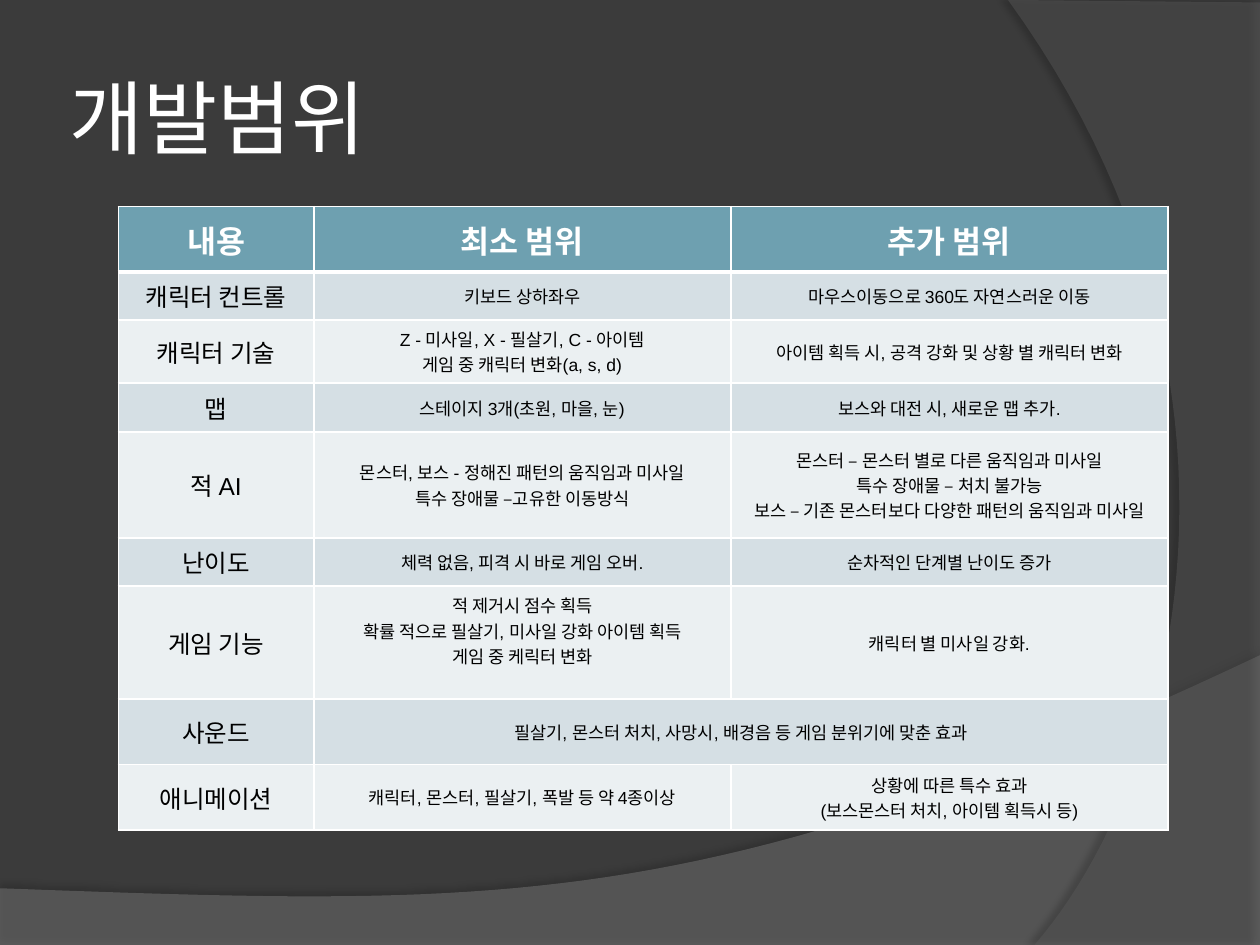
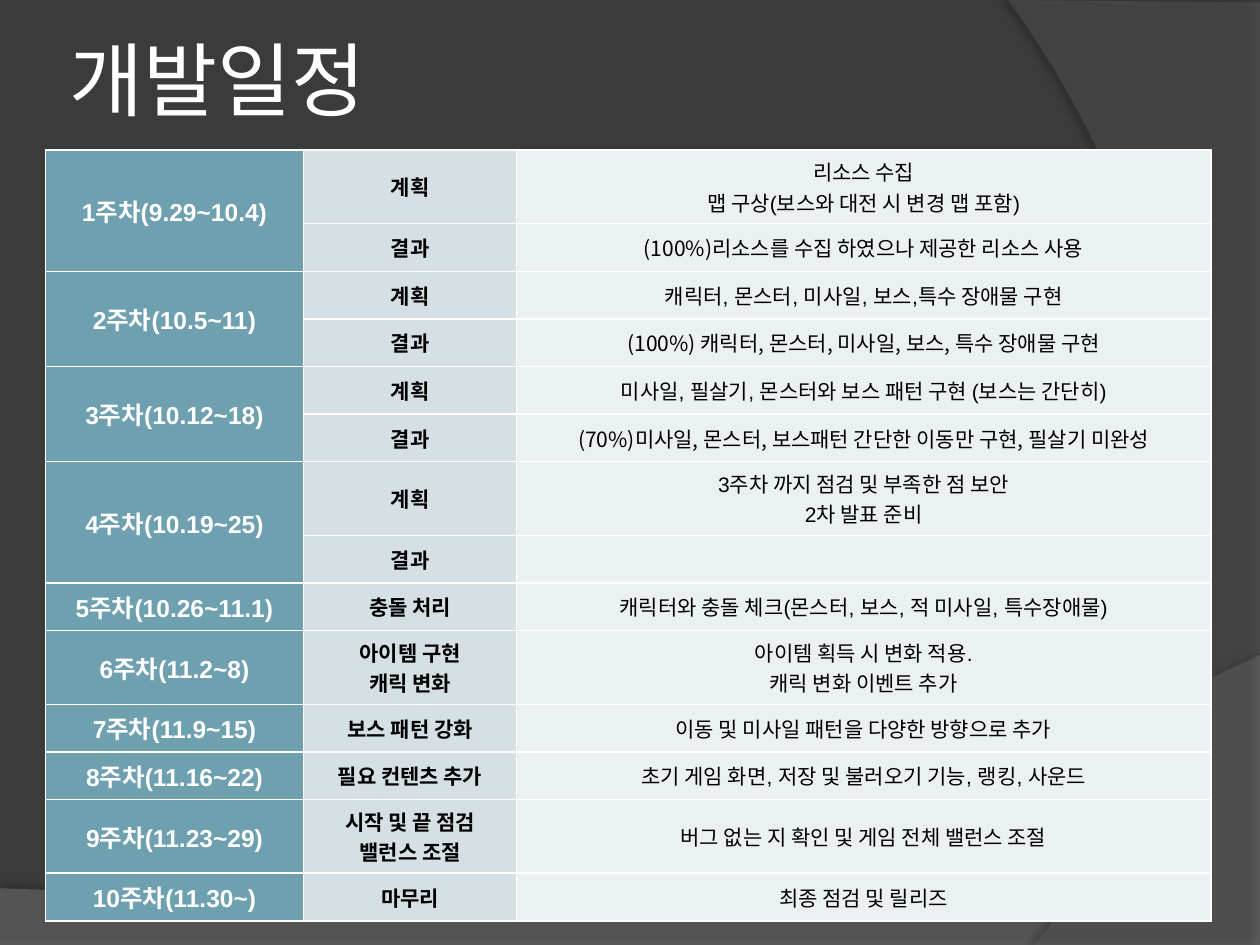
from dataclasses import dataclass

from lxml.etree import SubElement
from pptx import Presentation
from pptx.dml.color import RGBColor
from pptx.enum.text import MSO_ANCHOR, PP_ALIGN
from pptx.oxml import parse_xml
from pptx.oxml.ns import nsdecls, qn
from pptx.util import Inches, Pt


@dataclass(frozen=True)
class Theme:
    background: str = "3B3B3B"
    white: str = "FFFFFF"
    black: str = "000000"
    accent: str = "6EA0B0"
    band: str = "D5DFE4"
    pale: str = "EBF0F2"
    body: str = "Arial"
    display: str = "Cabin"
    korean: str = "Noto Sans CJK KR"
    title_size: float = 46
    header_size: float = 18
    label_size: float = 14
    task_size: float = 12
    detail_size: float = 10
    border: float = 1
    header_border: float = 3


@dataclass(frozen=True)
class Wave:
    points: tuple
    color: str
    alpha: int
    shadow_alpha: int
    shadow_distance: float
    shadow_angle: int


@dataclass(frozen=True)
class CellSpec:
    text: str
    fill: str
    size: float
    font: str = "Arial"
    color: str = "000000"
    bold: bool = False
    extra_bottom: float = 0


@dataclass(frozen=True)
class TableSpec:
    left: float
    top: float
    columns: list
    rows: list
    cells: list
    merges: list
    header: bool = False


T = Theme()
WIDTH, HEIGHT = Inches(10), Inches(7.5)
GRID_COLUMNS, GRID_ROWS = 100, 75


def col(n: float) -> int:
    return round(n * WIDTH / GRID_COLUMNS)


def row(n: float) -> int:
    return round(n * HEIGHT / GRID_ROWS)


def curve(start: tuple, c1: tuple, c2: tuple, end: tuple, steps: int = 48) -> tuple:
    def at(t: float) -> tuple:
        weights = ((1 - t) ** 3, 3 * t * (1 - t) ** 2, 3 * t * t * (1 - t), t ** 3)
        return tuple(sum(w * pt[axis] for w, pt in zip(weights, (start, c1, c2, end)))
                     for axis in (0, 1))
    return tuple(at(i / steps) for i in range(steps + 1))


WAVES = (
    Wave(((0, 75.1), (100, 75.1),
          *curve((100, 52), (55.9, 72.9), (39.1, 71.9), (0, 70.5))),
         "7F7F7F", 45, 35, 3.5, 270),
    Wave(((100, 0.2), (100, 75),
          *curve((82.1, 75), (93.5, 61.9), (101.8, 30), (80, 0))),
         "5E5E5E", 40, 45, 4, 180),
)


def add_wave(s, wave: Wave) -> None:
    points = [(col(x), row(y)) for x, y in wave.points]
    builder = s.shapes.build_freeform(*points[0])
    builder.add_line_segments(points[1:], close=True)
    sp = builder.convert_to_shape()
    sp.fill.solid()
    sp.fill.fore_color.rgb = RGBColor.from_string(wave.color)
    sp.line.fill.background()
    color = sp.element.spPr.find(qn("a:solidFill"))[0]
    SubElement(color, qn("a:alpha"), val=str(wave.alpha * 1000))
    sp.element.spPr.append(parse_xml(
        f'<a:effectLst {nsdecls("a")}><a:outerShdw blurRad="{Pt(4)}" '
        f'dist="{Pt(wave.shadow_distance)}" dir="{wave.shadow_angle * 60000}">'
        f'<a:srgbClr val="000000"><a:alpha val="{wave.shadow_alpha * 1000}"/>'
        '</a:srgbClr></a:outerShdw></a:effectLst>'))


def write(tf, text: str, *, size: float, font: str, color: str,
          bold: bool = False, align=PP_ALIGN.LEFT) -> None:
    for i, line in enumerate(text.split("\n")):
        p = tf.add_paragraph() if i else tf.paragraphs[0]
        p.alignment = align
        if not line:
            continue
        r = p.add_run()
        r.text = line
        r.font.size = Pt(size)
        r.font.name = font
        r.font.bold = bold
        r.font.color.rgb = RGBColor.from_string(color)
        SubElement(r.font._element, qn("a:ea"), typeface=T.korean)


def add_title(s, text: str, top: float) -> None:
    tf = s.shapes.add_textbox(col(5), row(top), col(81.7), row(12.5)).text_frame
    tf.word_wrap = True
    tf.vertical_anchor = MSO_ANCHOR.MIDDLE
    tf.margin_left = tf.margin_right = col(0.5)
    write(tf, text, size=T.title_size, font=T.display, color=T.white)


def set_borders(cell, top: float, bottom: float) -> None:
    sides = {"lnL": T.border, "lnR": T.border, "lnT": top, "lnB": bottom}
    tc_pr = cell._tc.get_or_add_tcPr()
    for i, (side, width) in enumerate(sides.items()):
        tc_pr.insert(i, parse_xml(
            f'<a:{side} {nsdecls("a")} w="{Pt(width)}"><a:solidFill>'
            f'<a:srgbClr val="{T.white}"/></a:solidFill></a:{side}>'))


def add_grid_table(s, spec: TableSpec) -> None:
    table = s.shapes.add_table(
        len(spec.rows), len(spec.columns), col(spec.left), row(spec.top),
        col(sum(spec.columns)), row(sum(spec.rows))).table
    table.first_row = spec.header
    table.horz_banding = False
    for column, width in zip(table.columns, spec.columns):
        column.width = col(width)
    for table_row, height in zip(table.rows, spec.rows):
        table_row.height = row(height)
    for i, line in enumerate(spec.cells):
        for j, item in enumerate(line):
            cell = table.cell(i, j)
            cell.vertical_anchor = MSO_ANCHOR.MIDDLE
            cell.margin_top = row(0.3)
            cell.margin_bottom = row(0.3 + item.extra_bottom)
            cell.fill.solid()
            cell.fill.fore_color.rgb = RGBColor.from_string(item.fill)
            set_borders(cell,
                        T.header_border if spec.header and i == 1 else T.border,
                        T.header_border if spec.header and i == 0 else T.border)
            write(cell.text_frame, item.text, size=item.size, font=item.font,
                  color=item.color, bold=item.bold, align=PP_ALIGN.CENTER)
    for first, last in spec.merges:
        table.cell(*first).merge(table.cell(*last))


SCOPE_HEADER = ("내용", "최소 범위", "추가 범위")
SCOPE = (
    (3.8, "캐릭터 컨트롤", "키보드 상하좌우", "마우스이동으로 360도 자연스러운 이동"),
    (5, "캐릭터 기술", "Z - 미사일, X - 필살기, C - 아이템\n게임 중 캐릭터 변화(a, s, d)",
     "아이템 획득 시, 공격 강화 및 상황 별 캐릭터 변화"),
    (3.9, "맵", "스테이지 3개(초원, 마을, 눈)", "보스와 대전 시, 새로운 맵 추가."),
    (8.4, "적 AI", "몬스터, 보스 - 정해진 패턴의 움직임과 미사일\n특수 장애물 –고유한 이동방식",
     "몬스터 – 몬스터 별로 다른 움직임과 미사일\n특수 장애물 – 처치 불가능\n"
     "보스 – 기존 몬스터보다 다양한 패턴의 움직임과 미사일"),
    (3.8, "난이도", "체력 없음, 피격 시 바로 게임 오버.", "순차적인 단계별 난이도 증가"),
    (9, "게임 기능", "적 제거시 점수 획득\n확률 적으로 필살기, 미사일 강화 아이템 획득\n게임 중 케릭터 변화",
     "캐릭터 별 미사일 강화."),
    (5.2, "사운드", "필살기, 몬스터 처치, 사망시, 배경음 등 게임 분위기에 맞춘 효과", ""),
    (5.2, "애니메이션", "캐릭터, 몬스터, 필살기, 폭발 등 약 4종이상",
     "상황에 따른 특수 효과\n(보스몬스터 처치, 아이템 획득시 등)"),
)

PLAN, RESULT = "계획", "결과"
SCHEDULE = (
    ("1주차(9.29~10.4)", PLAN, "리소스 수집\n맵 구상(보스와 대전 시 변경 맵 포함)"),
    ("", RESULT, "(100%)리소스를 수집 하였으나 제공한 리소스 사용"),
    ("2주차(10.5~11)", PLAN, "캐릭터, 몬스터, 미사일, 보스,특수 장애물 구현"),
    ("", RESULT, "(100%) 캐릭터, 몬스터, 미사일, 보스, 특수 장애물 구현"),
    ("3주차(10.12~18)", PLAN, "미사일, 필살기, 몬스터와 보스 패턴 구현 (보스는 간단히)"),
    ("", RESULT, "(70%)미사일, 몬스터, 보스패턴 간단한 이동만 구현, 필살기 미완성"),
    ("4주차(10.19~25)", PLAN, "3주차 까지 점검 및 부족한 점 보안\n2차 발표 준비"),
    ("", RESULT, ""),
    ("5주차(10.26~11.1)", "충돌 처리", "캐릭터와 충돌 체크(몬스터, 보스, 적 미사일, 특수장애물)"),
    ("6주차(11.2~8)", "아이템 구현\n캐릭 변화", "아이템 획득 시 변화 적용.\n캐릭 변화 이벤트 추가"),
    ("7주차(11.9~15)", "보스 패턴 강화", "이동 및 미사일 패턴을 다양한 방향으로 추가"),
    ("8주차(11.16~22)", "필요 컨텐츠 추가", "초기 게임 화면, 저장 및 불러오기 기능, 랭킹, 사운드"),
    ("9주차(11.23~29)", "시작 및 끝 점검\n밸런스 조절", "버그 없는 지 확인 및 게임 전체 밸런스 조절"),
    ("10주차(11.30~)", "마무리", "최종 점검 및 릴리즈"),
)


def scope_table() -> TableSpec:
    cells = [[CellSpec(text, T.accent, T.header_size, color=T.white, bold=True)
              for text in SCOPE_HEADER]]
    for i, (_, label, minimum, extra) in enumerate(SCOPE):
        fill = T.pale if i % 2 else T.band
        lift = 1.9 if label == "게임 기능" else 0
        cells.append([CellSpec(label, fill, T.label_size),
                      CellSpec(minimum, fill, T.detail_size, extra_bottom=lift),
                      CellSpec(extra, fill, T.detail_size)])
    merges = [((i, 1), (i, 2)) for i, item in enumerate(SCOPE, 1) if not item[3]]
    return TableSpec(9.4, 16.4, [15.5, 33.1, 34.7],
                     [5.2] + [item[0] for item in SCOPE], cells, merges, header=True)


def schedule_table() -> TableSpec:
    cells, heights, merges = [], [], []
    for i, (week, task, detail) in enumerate(SCHEDULE):
        task_font = T.display if task in (PLAN, RESULT) else T.body
        detail_font = T.korean if task == RESULT else T.body
        cells.append([
            CellSpec(week, T.accent, T.label_size, color=T.white, bold=True),
            CellSpec(task, T.band, T.task_size, font=task_font, bold=True),
            CellSpec(detail, T.pale, T.task_size, font=detail_font)])
        heights.append(5.85 if "\n" in task + detail else 3.78)
        if not week:
            merges.append(((i - 1, 0), (i, 0)))
    return TableSpec(3.6, 11.9, [20.5, 16.9, 55.1], heights, cells, merges)


def add_page(prs, title: str, title_top: float, spec: TableSpec) -> None:
    s = prs.slides.add_slide(prs.slide_layouts[6])
    for wave in WAVES:
        add_wave(s, wave)
    add_title(s, title, title_top)
    add_grid_table(s, spec)


def main() -> None:
    prs = Presentation()
    prs.slide_width, prs.slide_height = WIDTH, HEIGHT
    fill = prs.slide_master.background.fill
    fill.solid()
    fill.fore_color.rgb = RGBColor.from_string(T.background)
    add_page(prs, "개발범위", 3, scope_table())
    add_page(prs, "개발일정", 0, schedule_table())
    prs.save("out.pptx")


if __name__ == "__main__":
    main()
